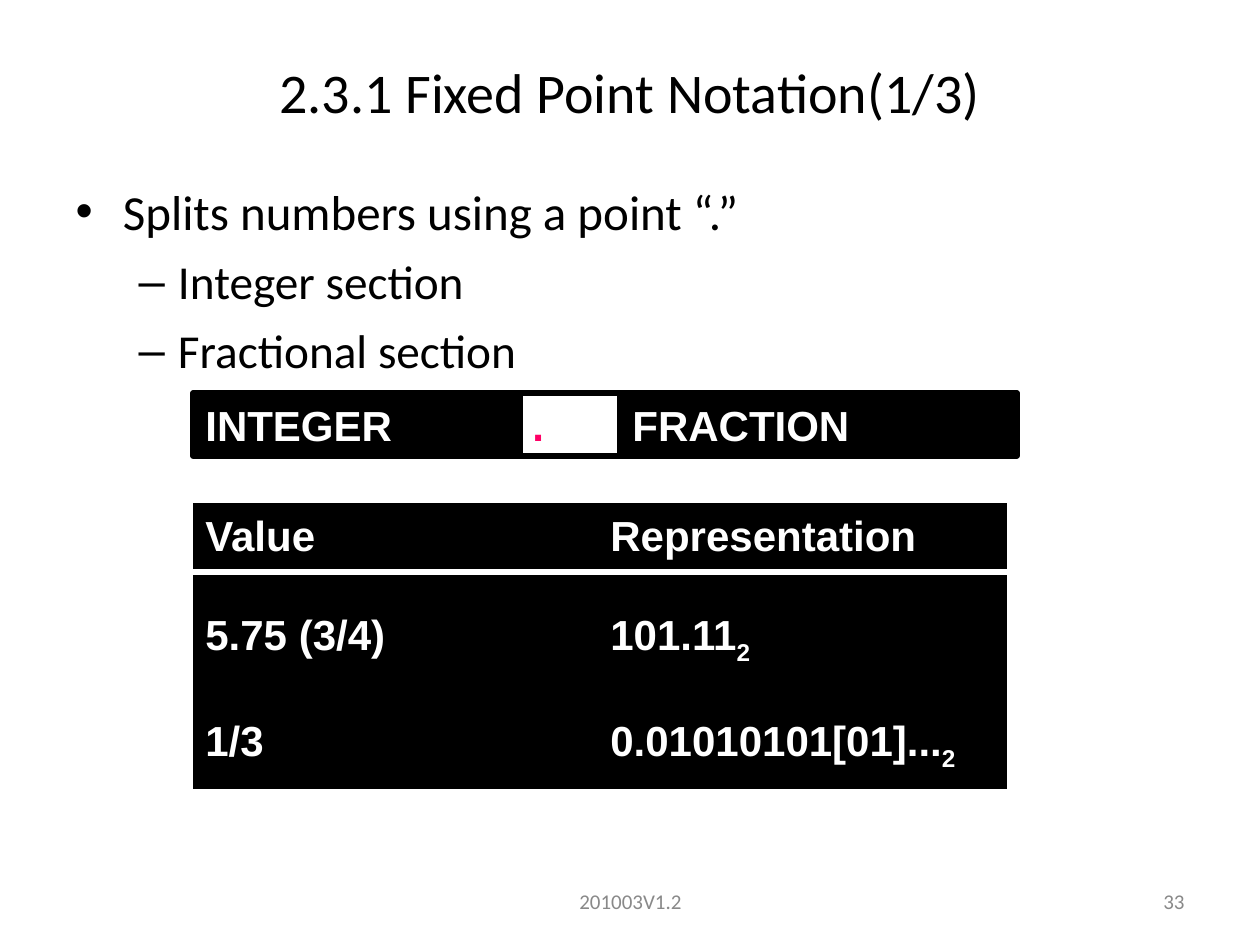
from lxml.etree import SubElement
from pptx import Presentation
from pptx.dml.color import RGBColor
from pptx.enum.shapes import MSO_CONNECTOR, MSO_SHAPE
from pptx.enum.text import MSO_ANCHOR, PP_ALIGN
from pptx.oxml.ns import qn
from pptx.util import Emu, Pt

SCALE = 914400 / 126
COLORS = {"black": "000000", "white": "FFFFFF", "pink": "FF0066", "gray": "898989"}


def px(*lengths):
    return [Emu(round(length * SCALE)) for length in lengths]


def style(font, color, **values):
    font.color.rgb = RGBColor.from_string(COLORS[color])
    for name, value in values.items():
        setattr(font, name, value)


deck = Presentation()
deck.slide_width, deck.slide_height = px(1260, 945)
slide = deck.slides.add_slide(deck.slide_layouts[1])
shapes = slide.shapes

title = shapes.title
title.left, title.top, title.width, title.height = px(0, 38, 1260, 107)
title.text_frame.text = "2.3.1 Fixed Point Notation(1/3)"
style(title.text_frame.paragraphs[0].font, "black", name="Calibri", size=Pt(32))

sections = slide.placeholders[1]
sections.left, sections.top, sections.width, sections.height = px(63, 175, 1134, 669)
sections.text_frame.text = "Splits numbers using a point “.”\nInteger section\nFractional section"
for index, point in enumerate(sections.text_frame.paragraphs):
    point.level = min(index, 1)
    point.space_before = Pt(7 if index else 0)
    style(point.font, "black", name="Calibri", size=Pt(27 if index else 28))

for text, left, width, align in [
    ("201003V1.2", 431, 399, PP_ALIGN.CENTER),
    ("33", 903, 294, PP_ALIGN.RIGHT),
]:
    footer = shapes.add_textbox(*px(left, 876, width, 50)).text_frame
    footer.word_wrap = True
    footer.vertical_anchor = MSO_ANCHOR.MIDDLE
    footer.text = text
    footer.paragraphs[0].alignment = align
    style(footer.paragraphs[0].font, "gray", name="Calibri", size=Pt(12))

left = 193
for text, width, fill, color in [
    ("INTEGER", 327, "black", "white"),
    (".", 100, None, "pink"),
    ("FRACTION", 397, "black", "white"),
]:
    field = shapes.add_shape(MSO_SHAPE.RECTANGLE, *px(left, 393, width, 63))
    field.shadow.inherit = False
    if fill:
        field.fill.solid()
        field.fill.fore_color.rgb = RGBColor.from_string(COLORS[fill])
    else:
        field.fill.background()
    field.line.color.rgb = RGBColor.from_string(COLORS["black"])
    field.line.width = Pt(3)
    field.text_frame.text = text
    style(field.text_frame.paragraphs[0].font, color, name="Arial", size=Pt(24), bold=True)
    left += width

examples = shapes.add_shape(MSO_SHAPE.RECTANGLE, *px(193, 503, 814, 286))
examples.shadow.inherit = False
examples.fill.solid()
examples.fill.fore_color.rgb = RGBColor.from_string(COLORS["black"])
examples.line.fill.background()
frame = examples.text_frame
frame.vertical_anchor = MSO_ANCHOR.TOP
for index, (value, representation, base) in enumerate([
    ("Value", "Representation", ""),
    ("5.75 (3/4)", "101.11", "2"),
    ("1/3", "0.01010101[01]...", "2"),
]):
    row = frame.add_paragraph() if index else frame.paragraphs[0]
    row.alignment = PP_ALIGN.LEFT
    row.space_before = Pt(28 if index else 0)
    tabs = SubElement(row._p.get_or_add_pPr(), qn("a:tabLst"))
    SubElement(tabs, qn("a:tab"), pos=str(px(405)[0]), algn="l")
    row.add_run().text = f"{value}\t{representation}"
    if base:
        subscript = row.add_run()
        subscript.text = base
        subscript.font._element.set("baseline", "-25000")
    for run in row.runs:
        style(run.font, "white", name="Arial", size=Pt(24), bold=True)

divider = shapes.add_connector(MSO_CONNECTOR.STRAIGHT, *px(193, 572, 1007, 572))
divider.line.color.rgb = RGBColor.from_string(COLORS["white"])
divider.line.width = Pt(3)
SubElement(divider._element.spPr, qn("a:effectLst"))

deck.save("out.pptx")
